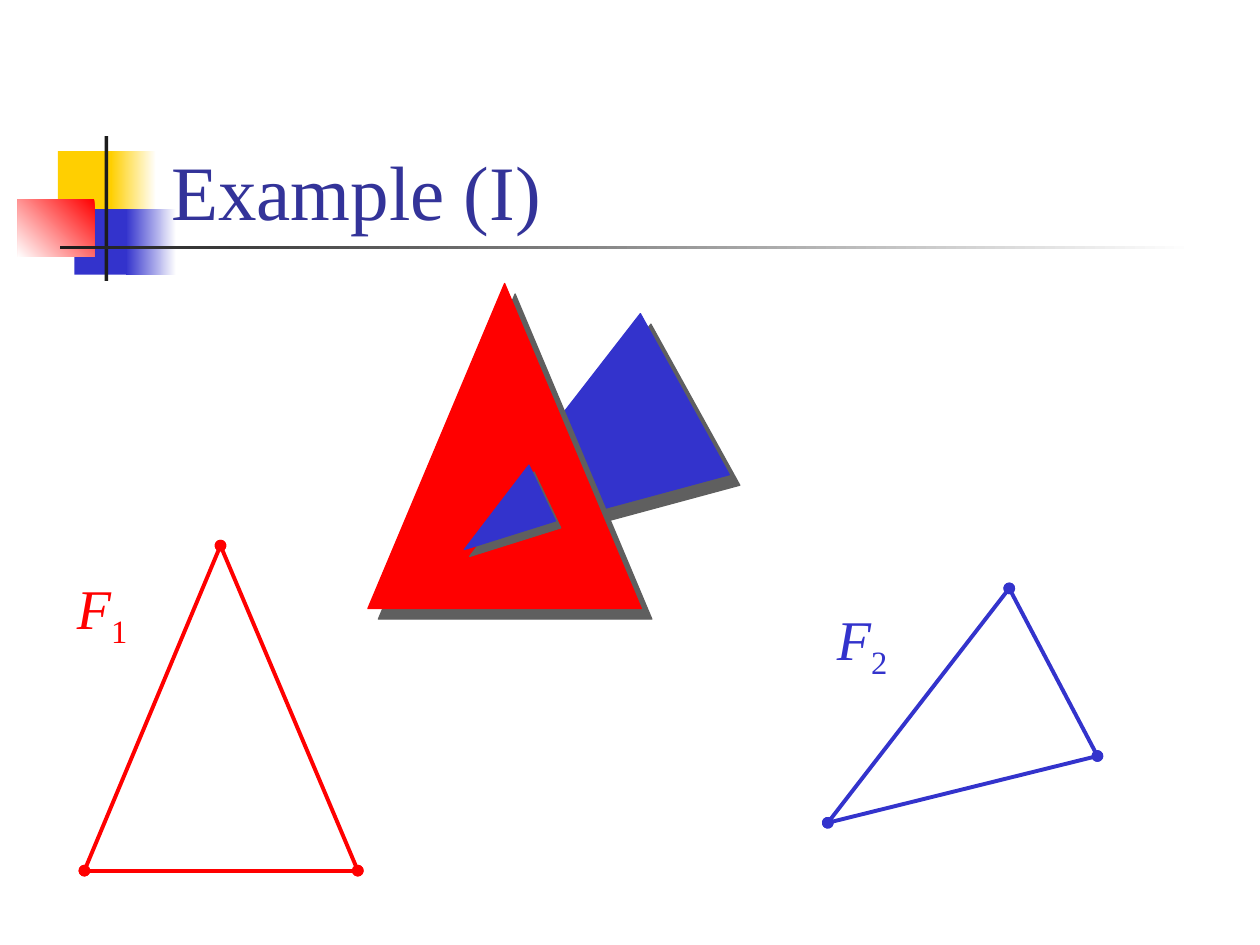
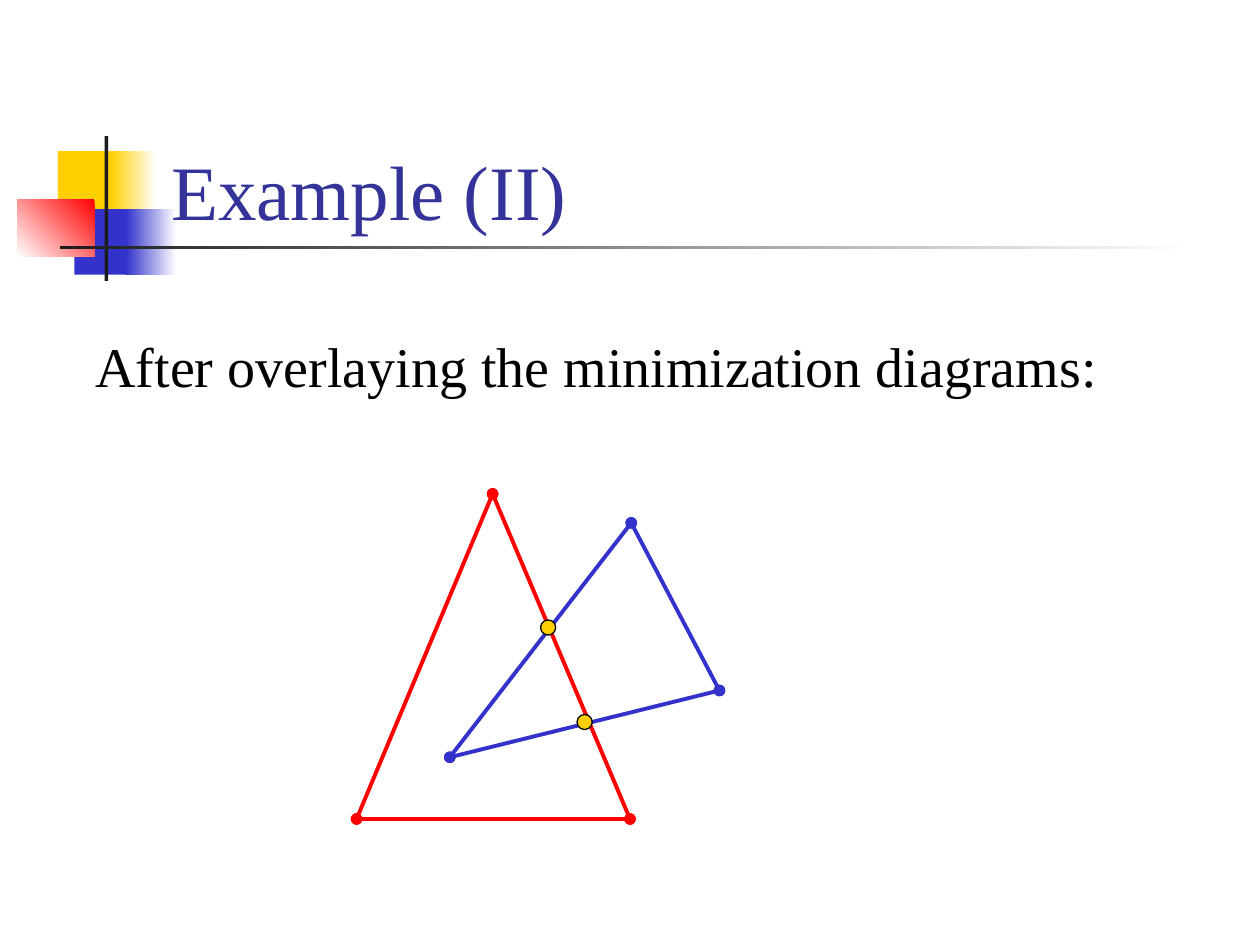
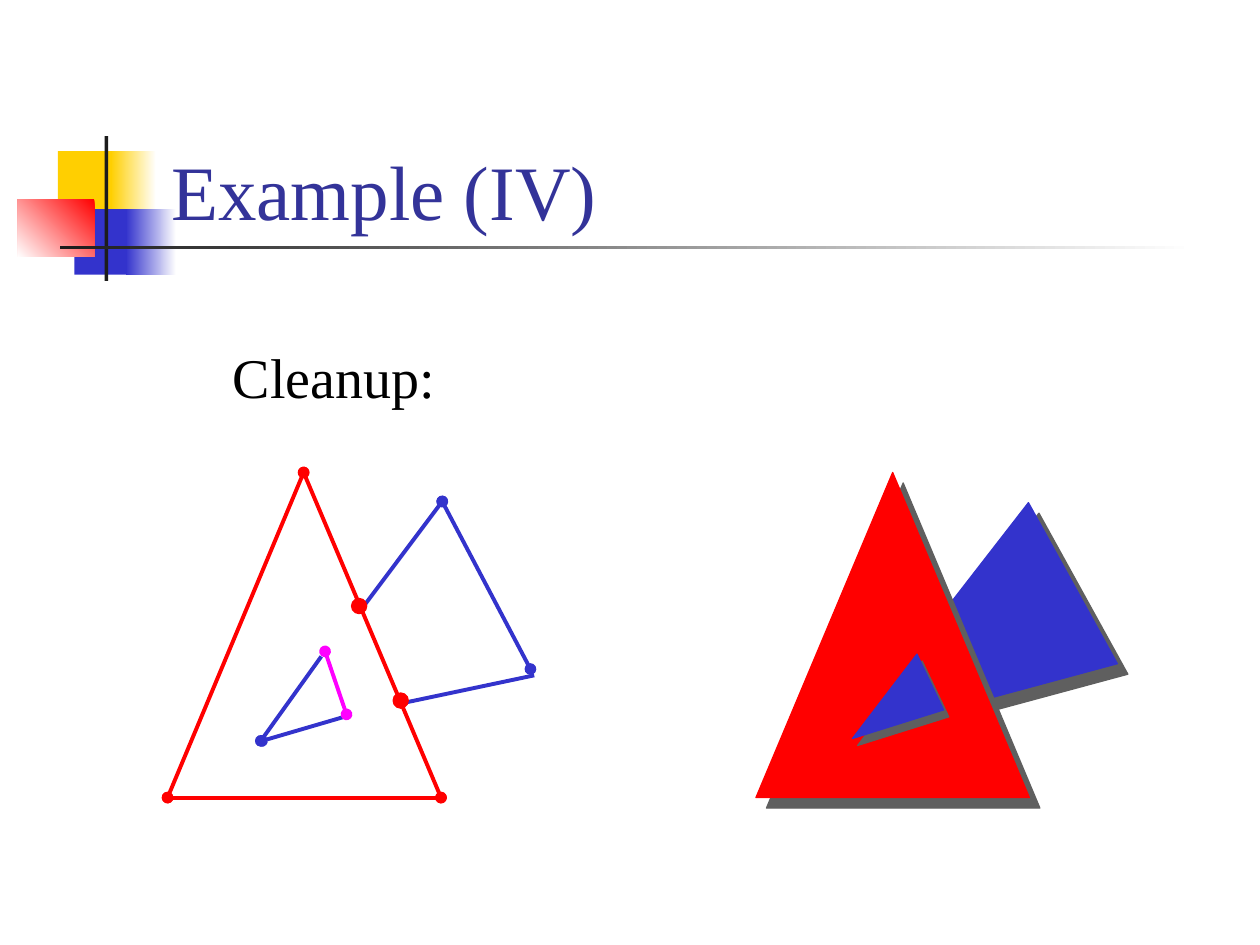
from lxml import etree
from pptx import Presentation
from pptx.dml.color import RGBColor
from pptx.enum.shapes import MSO_CONNECTOR, MSO_SHAPE
from pptx.enum.text import MSO_ANCHOR, PP_ALIGN
from pptx.oxml.ns import qn
from pptx.util import Inches, Pt

STRAIGHT = MSO_CONNECTOR.STRAIGHT
RECT, OVAL, TRIANGLE = MSO_SHAPE.RECTANGLE, MSO_SHAPE.OVAL, MSO_SHAPE.ISOSCELES_TRIANGLE
BOTTOM, TOP = MSO_ANCHOR.BOTTOM, MSO_ANCHOR.TOP
RIGHT = PP_ALIGN.RIGHT

FONT = "Times New Roman"
HEX = {"red": "FF0000", "blue": "3333CC", "gold": "FFCF01", "pink": "FF00FF",
       "dark": "1C1C1C", "white": "FFFFFF", "black": "000000",
       "title": "333399", "shade": "5F5F5F"}
RGB = {name: RGBColor.from_string(code) for name, code in HEX.items()}

# left, top, width, height, first colour, last colour, angle (counterclockwise)
BANDS = [
    (0.46, 1.2, 0.48, 0.52, "gold", None, 0),
    (0.88, 1.2, 0.36, 0.52, "white", "gold", 180),
    (0.59, 1.66, 0.46, 0.52, "blue", None, 0),
    (1, 1.66, 0.4, 0.52, "white", "blue", 180),
    (0.14, 1.58, 0.61, 0.46, "red", "white", 225),
    (0.83, 1.08, 0.03, 1.15, "dark", None, 0),
    (0.48, 1.95, 9, 0.03, "white", "dark", 180),
]
# Corners of the outlines: left, top, right
CORNERS = {"red": [(0, 2.58), (1.08, 0), (2.17, 2.58)],
           "blue": [(0, 1.86), (1.44, 0), (2.14, 1.33)]}
# Solid triangles: left, top, width, height, turn, peak, colour, shadow distance, shadow angle
SOLIDS = [
    (0.84, 0.32, 1.46, 2.16, 241.1, 0.363, "blue", 8.5, 45),
    (0, 0, 2.17, 2.58, 0, 0.5, "red", 8.5, 45),
    (0.8, 1.45, 0.49, 0.75, 244.5, 0.218, "blue", 5, 53),
]


def write(slide, box, text, size, color, anchor=TOP):
    shape = slide.shapes.add_textbox(*map(Inches, box))
    frame = shape.text_frame
    frame.word_wrap = anchor == BOTTOM
    frame.vertical_anchor = anchor
    frame.text = text
    font = frame.paragraphs[0].runs[0].font
    font.name, font.size, font.color.rgb = FONT, Pt(size), RGB[color]
    return frame.paragraphs[0]


def stroke(slide, start, end, color, dots=("headEnd", "tailEnd")):
    """Draw a line with a round dot at each end named in dots."""
    line = slide.shapes.add_connector(STRAIGHT, *map(Inches, (*start, *end)))
    line.line.width = Pt(2.25)
    line.line.color.rgb = RGB[color]
    props = line._element.spPr
    for dot in dots:
        etree.SubElement(props.find(qn("a:ln")), qn("a:" + dot), type="oval")
    etree.SubElement(props, qn("a:effectLst"))


deck = Presentation()
deck.slide_width, deck.slide_height = Inches(10), Inches(7.5)

slides = []
for title in ("Example (I)", "Example (II)", "Example (IV)"):
    slide = deck.slides.add_slide(deck.slide_layouts[6])
    slides.append(slide)
    for left, top, width, height, first, last, angle in BANDS:
        band = slide.shapes.add_shape(RECT, *map(Inches, (left, top, width, height)))
        band.shadow.inherit = False
        band.line.fill.background()
        if last:
            band.fill.gradient()
            band.fill.gradient_angle = angle
            for stop, color in zip(band.fill.gradient_stops, (first, last)):
                stop.color.rgb = RGB[color]
        else:
            band.fill.solid()
            band.fill.fore_color.rgb = RGB[first]
    write(slide, (1.26, 0.67, 8.52, 1.25), title, 44, "title", BOTTOM)
intro, merge, clean = slides

# Labels and captions
for box, index, color in [((0.51, 4.5, 0.6, 0.71), "1", "red"),
                          ((6.5, 4.75, 0.64, 0.71), "2", "blue")]:
    label = write(intro, box, "F", 32, color)
    label.alignment = RIGHT
    label.runs[0].font.italic = True
    sub = label.add_run()
    sub.text = index
    sub.font.name, sub.font.size, sub.font.color.rgb = FONT, Pt(32), RGB[color]
    sub.font._element.set("baseline", "-25000")
write(merge, (0.66, 2.58, 8.16, 0.64), "After overlaying the minimization diagrams:", 32, "black")
write(clean, (1.75, 2.67, 1.92, 0.64), "Cleanup:", 32, "black")

# Whole outlines
for slide, color, x, y in [(intro, "red", 0.67, 4.33), (intro, "blue", 6.57, 4.67),
                           (merge, "red", 2.83, 3.92), (merge, "blue", 3.57, 4.15),
                           (clean, "red", 1.33, 3.75)]:
    left, peak, right = [(x + dx, y + dy) for dx, dy in CORNERS[color]]
    for start, end in [(left, peak), (left, right), (right, peak)]:
        stroke(slide, start, end, color)

# Pieces left after the cleanup
for start, end, color, dots in [
    ((2.88, 4.82), (3.51, 3.98), "blue", ["tailEnd"]),
    ((4.21, 5.31), (3.51, 3.98), "blue", ["headEnd", "tailEnd"]),
    ((2.07, 5.88), (2.55, 5.21), "blue", ["headEnd"]),
    ((3.15, 5.59), (4.24, 5.36), "blue", []),
    ((2.08, 5.88), (2.73, 5.69), "blue", ["headEnd"]),
    ((2.58, 5.17), (2.75, 5.67), "pink", ["headEnd", "tailEnd"]),
]:
    stroke(clean, start, end, color, dots)

# Crossing points
for slide, x, y, color, edge in [(merge, 4.58, 5.67, "gold", "black"),
                                 (merge, 4.29, 4.92, "gold", "black"),
                                 (clean, 2.79, 4.75, "red", "red"),
                                 (clean, 3.12, 5.5, "red", "red")]:
    point = slide.shapes.add_shape(OVAL, *map(Inches, (x, y, 0.12, 0.12)))
    point.shadow.inherit = False
    point.fill.solid()
    point.fill.fore_color.rgb = RGB[color]
    point.line.color.rgb = RGB[edge]
    point.line.width = Pt(0.75)

# Solid triangles that cut through each other
for slide, x, y in [(intro, 2.92, 2.25), (clean, 6, 3.75)]:
    for left, top, width, height, turn, peak, color, reach, angle in SOLIDS:
        solid = slide.shapes.add_shape(
            TRIANGLE, *map(Inches, (x + left, y + top, width, height)))
        solid.rotation = turn
        solid.adjustments[0] = peak
        solid.fill.solid()
        solid.fill.fore_color.rgb = RGB[color]
        solid.line.color.rgb = RGB[color]
        solid.line.width = Pt(0.75)
        solid.shadow.inherit = False
        effects = solid._element.spPr.find(qn("a:effectLst"))
        shade = etree.SubElement(effects, qn("a:outerShdw"), dist=str(Pt(reach)),
                                 dir=str(angle * 60000), algn="ctr", rotWithShape="0")
        etree.SubElement(shade, qn("a:srgbClr"), val=HEX["shade"])

deck.save("out.pptx")
